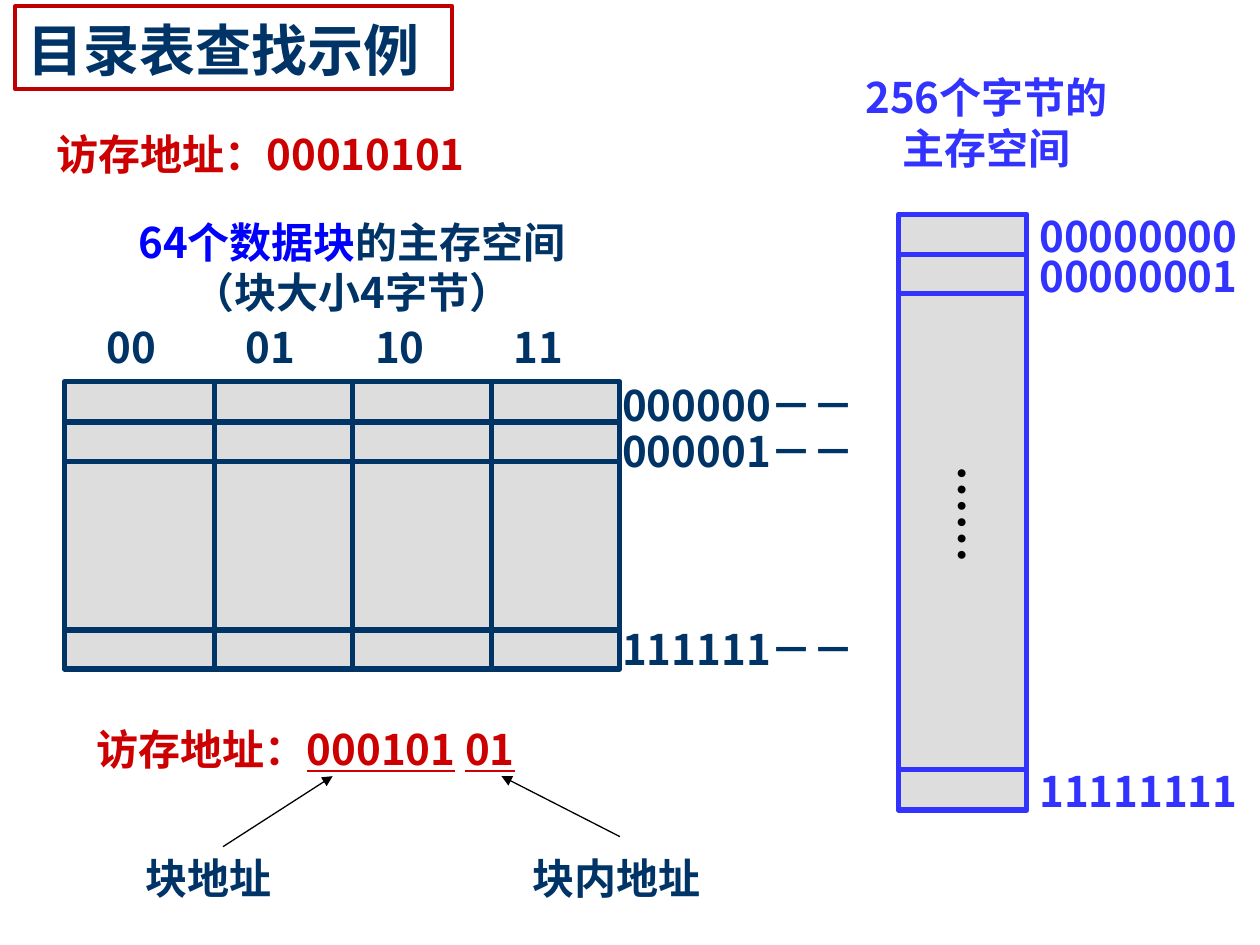
import itertools

import pptx
import pptx.dml.color
import pptx.enum.shapes
import pptx.enum.text
import pptx.oxml.ns
import pptx.util
from lxml import etree

Inches = pptx.util.Inches
ALIGN = pptx.enum.text.PP_ALIGN
ANCHOR = pptx.enum.text.MSO_ANCHOR

NAVY, BLUE, RED, GREY = "003366", "3333FF", "CC0000", "DDDDDD"
FONT = "Noto Sans CJK SC"


def color(hex_value):
    return pptx.dml.color.RGBColor.from_string(hex_value)


def add_xml(parent, tag, **attributes):
    return etree.SubElement(parent, pptx.oxml.ns.qn(tag), **attributes)


def write(para, text, size=24, ink=NAVY, underline=None):
    """Append one formatted span to a paragraph."""
    span = para.add_run()
    span.text = text
    span.font.name = FONT
    span.font.size = pptx.util.Pt(size)
    span.font.bold = True
    span.font.color.rgb = color(ink)
    if underline is not None:
        span.font.underline = underline
    add_xml(span.font._element, "a:ea", typeface=FONT)
    return span


class Slide:
    """Holds the style and the current page."""

    def __init__(self, deck):
        self.page = deck.slides.add_slide(deck.slide_layouts[5])
        self.shapes = self.page.shapes

    def title(self, text, left, top, width, height):
        box = self.shapes.title
        box.left, box.top = Inches(left), Inches(top)
        box.width, box.height = Inches(width), Inches(height)
        box.line.color.rgb = color("C00000")
        box.line.width = pptx.util.Pt(2.25)
        frame = box.text_frame
        frame.vertical_anchor = ANCHOR.BOTTOM
        frame.auto_size = pptx.enum.text.MSO_AUTO_SIZE.NONE
        frame.paragraphs[0].alignment = ALIGN.LEFT
        write(frame.paragraphs[0], text, size=32)

    def text(self, spans, left, top, width, height=0.5, align=ALIGN.LEFT,
             spacing=None, rotation=0, **style):
        """Spans are one string, or (string, format) pairs."""
        box = self.shapes.add_textbox(
            Inches(left), Inches(top), Inches(width), Inches(height))
        box.rotation = rotation
        frame = box.text_frame
        frame.word_wrap = True
        frame.auto_size = pptx.enum.text.MSO_AUTO_SIZE.SHAPE_TO_FIT_TEXT
        para = frame.paragraphs[0]
        para.alignment = align
        if spacing:
            para.line_spacing = spacing
        if isinstance(spans, str):
            spans = [(spans, {})]
        for words, extra in spans:
            write(para, words, **{**style, **extra})

    def block(self, left, top, right, bottom, ink):
        box = self.shapes.add_shape(
            pptx.enum.shapes.MSO_SHAPE.RECTANGLE, Inches(left), Inches(top),
            Inches(right - left), Inches(bottom - top))
        box.shadow.inherit = False
        box.fill.solid()
        box.fill.fore_color.rgb = color(GREY)
        box.line.color.rgb = color(ink)
        box.line.width = pptx.util.Pt(3)

    def line(self, start, end, ink, width=3, arrow=False):
        link = self.shapes.add_connector(
            pptx.enum.shapes.MSO_CONNECTOR.STRAIGHT,
            *map(Inches, start), *map(Inches, end))
        link.line.color.rgb = color(ink)
        link.line.width = pptx.util.Pt(width)
        if arrow:
            add_xml(link.line._get_or_add_ln(), "a:tailEnd", type="triangle")
        add_xml(link._element.spPr, "a:effectLst")

    def memory(self, left, right, rows, ink, columns=()):
        """Draw a memory block divided at the inner rows and the columns."""
        self.block(left, rows[0], right, rows[-1], ink)
        for y in rows[1:-1]:
            self.line((left, y), (right, y), ink)
        for x in columns:
            for upper, lower in itertools.pairwise(rows):
                self.line((x, upper), (x, lower), ink)


def main():
    deck = pptx.Presentation()
    deck.slide_width, deck.slide_height = Inches(10), Inches(7.5)
    slide = Slide(deck)
    slide.title("目录表查找示例", 0.12, 0.05, 3.47, 0.66)

    # Byte-addressed main memory
    slide.memory(7.13, 8.15, [1.7, 2.02, 2.33, 6.11, 6.43], BLUE)
    for address, top in [("11111111", 6.03), ("00000000", 1.62),
                         ("00000001", 1.94)]:
        slide.text(address, 8.15, top, 2.05, ink=BLUE)

    # Main memory as blocks of four bytes
    slide.memory(0.51, 4.92, [3.03, 3.35, 3.66, 5, 5.31], NAVY,
                 columns=[1.7, 2.8, 3.9])
    for offset, left in [("00", 0.75), ("01", 1.85), ("10", 2.88),
                         ("11", 3.98)]:
        slide.text(offset, left, 2.5, 0.86)
    for number, top in [("000000", 2.96), ("000001", 3.33), ("111111", 4.9)]:
        slide.text(number + "－－", 4.84, top, 2.44)
    slide.text("……", 7.27, 3.68, 0.98, 0.8, align=ALIGN.CENTER, spacing=1.5,
               rotation=90, size=28, ink="000000")

    # Address and its two parts
    slide.text("访存地址：00010101", 0.35, 0.97, 5.12, ink=RED)
    slide.text([("访存地址：", {}), ("000101", {"underline": True}),
                (" ", {"underline": False}), ("01", {"underline": True})],
               0.67, 5.69, 5.12, ink=RED)
    for start, end in [((4.92, 6.64), (3.98, 6.16)),
                       ((1.77, 6.72), (2.64, 6.16))]:
        slide.line(start, end, "000000", width=0.75, arrow=True)
    slide.text("块内地址", 4.13, 6.72, 1.89)
    slide.text("块地址", 1.06, 6.72, 1.89)

    # Captions of the two memories
    slide.text("256个字节的主存空间", 6.73, 0.52, 2.2, 0.9,
               align=ALIGN.CENTER, ink=BLUE)
    slide.text([("64个数据块", {"ink": "0000FF"}),
                ("的主存空间（块大小4字节）", {})],
               0.67, 1.67, 4.25, 0.9, align=ALIGN.CENTER)

    deck.save("out.pptx")


if __name__ == "__main__":
    main()
